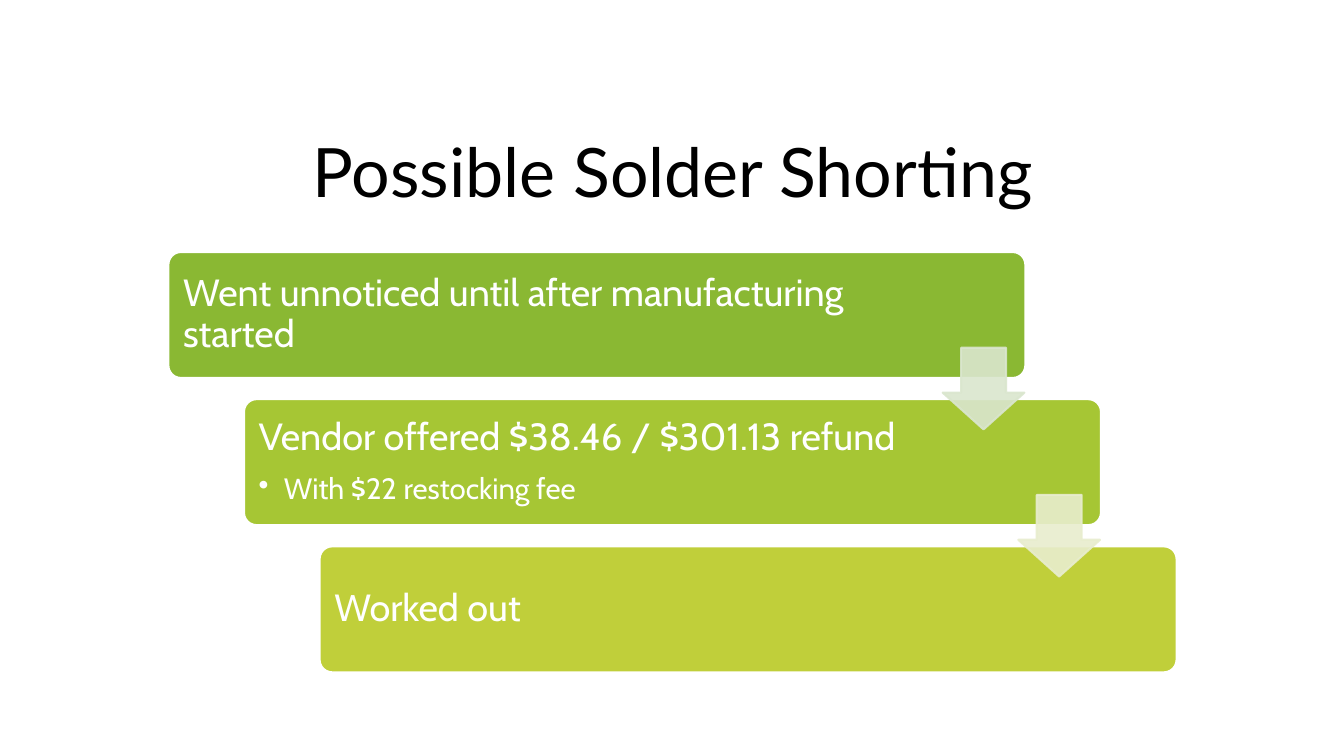
from dataclasses import dataclass

from lxml.etree import SubElement
from pptx import Presentation
from pptx.dml.color import RGBColor
from pptx.enum.shapes import MSO_SHAPE as Shape
from pptx.enum.text import MSO_ANCHOR as Anchor, MSO_AUTO_SIZE as AutoSize, PP_ALIGN as Align
from pptx.oxml.ns import qn
from pptx.util import Inches, Pt


@dataclass(frozen=True)
class Theme:
    black: RGBColor = RGBColor.from_string("000000")
    white: RGBColor = RGBColor.from_string("FFFFFF")
    cards: tuple = ("8AB833", "A6C634", "C0CF3A")
    arrows: tuple = ("DAE6CE", "E8EDCE")
    title_font: str = "Lato"
    body_font: str = "Cabin"
    title_size: float = 48.6
    step_size: float = 27
    detail_size: float = 21
    outline: float = 1.5


theme = Theme()


def add_block(kind, left, top, width, height, adjustments, fill, line):
    shape = slide.shapes.add_shape(kind, Inches(left), Inches(top), Inches(width), Inches(height))
    shape.shadow.inherit = False
    for index, value in enumerate(adjustments):
        shape.adjustments[index] = value
    shape.fill.solid()
    shape.fill.fore_color.rgb = fill
    shape.line.color.rgb = line
    shape.line.width = Pt(theme.outline)
    return shape


def format_paragraph(paragraph, text, font, size, color, align, space_after):
    paragraph.text = text
    paragraph.alignment = align
    paragraph.line_spacing = 0.9
    paragraph.space_before = Pt(0)
    paragraph.space_after = Pt(space_after)
    for name, value in {"name": font, "size": Pt(size)}.items():
        setattr(paragraph.font, name, value)
    paragraph.font.color.rgb = color


presentation = Presentation()
presentation.slide_width = Inches(13.33)
presentation.slide_height = Inches(7.5)
slide = presentation.slides.add_slide(presentation.slide_layouts[5])

title = slide.shapes.title
title_box = {"left": 1.67, "top": 1.24, "width": 10, "height": 1.01}
for name, value in title_box.items():
    setattr(title, name, Inches(value))
title.text_frame.auto_size = AutoSize.NONE
title.text_frame.vertical_anchor = Anchor.MIDDLE
format_paragraph(title.text_frame.paragraphs[0], "Possible Solder Shorting",
                 theme.title_font, theme.title_size, theme.black, Align.CENTER, 0)

steps = [
    ("Went unnoticed until after manufacturing started", []),
    ("Vendor offered $38.46 / $301.13 refund", ["With $22 restocking fee"]),
    ("Worked out", []),
]
step_right, step_down = 0.75, 1.46
card_format = {
    "margin_left": Inches(0.11),
    "margin_right": Inches(1.4),
    "margin_top": Inches(0.11),
    "margin_bottom": Inches(0.11),
    "vertical_anchor": Anchor.MIDDLE,
    "word_wrap": True,
}

for index, (step, details) in enumerate(steps):
    card = add_block(Shape.ROUNDED_RECTANGLE, 1.67 + index * step_right, 2.5 + index * step_down,
                     8.5, 1.25, [0.1], RGBColor.from_string(theme.cards[index]), theme.white)
    frame = card.text_frame
    for name, value in card_format.items():
        setattr(frame, name, value)
    format_paragraph(frame.paragraphs[0], step, theme.body_font, theme.step_size,
                     theme.white, Align.LEFT, 11)
    for detail in details:
        paragraph = frame.add_paragraph()
        paragraph.level = 1
        format_paragraph(paragraph, detail, theme.body_font, theme.detail_size,
                         theme.white, Align.LEFT, 4)
        properties = paragraph._p.get_or_add_pPr()
        properties.set("marL", str(Inches(0.25)))
        properties.set("indent", str(Inches(-0.25)))
        bullet = properties.makeelement(qn("a:buChar"), {"char": "•"})
        properties.find(qn("a:defRPr")).addprevious(bullet)

for index, color in enumerate(theme.arrows):
    tint = RGBColor.from_string(color)
    arrow = add_block(Shape.DOWN_ARROW, 9.35 + index * step_right, 3.45 + index * step_down,
                      0.81, 0.81, [0.55, 0.45], tint, tint)
    for paint in arrow._element.spPr.iter(qn("a:srgbClr")):
        SubElement(paint, qn("a:alpha"), val="90000")

presentation.save("out.pptx")
